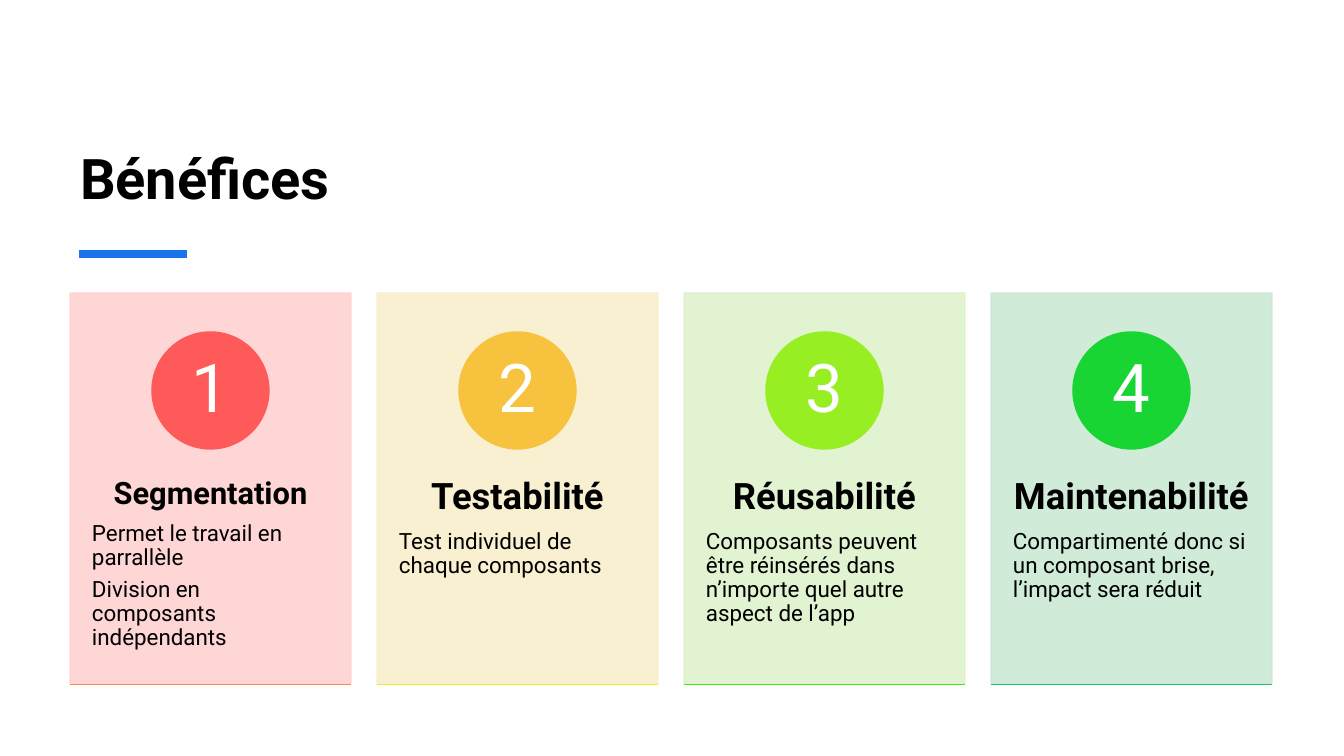
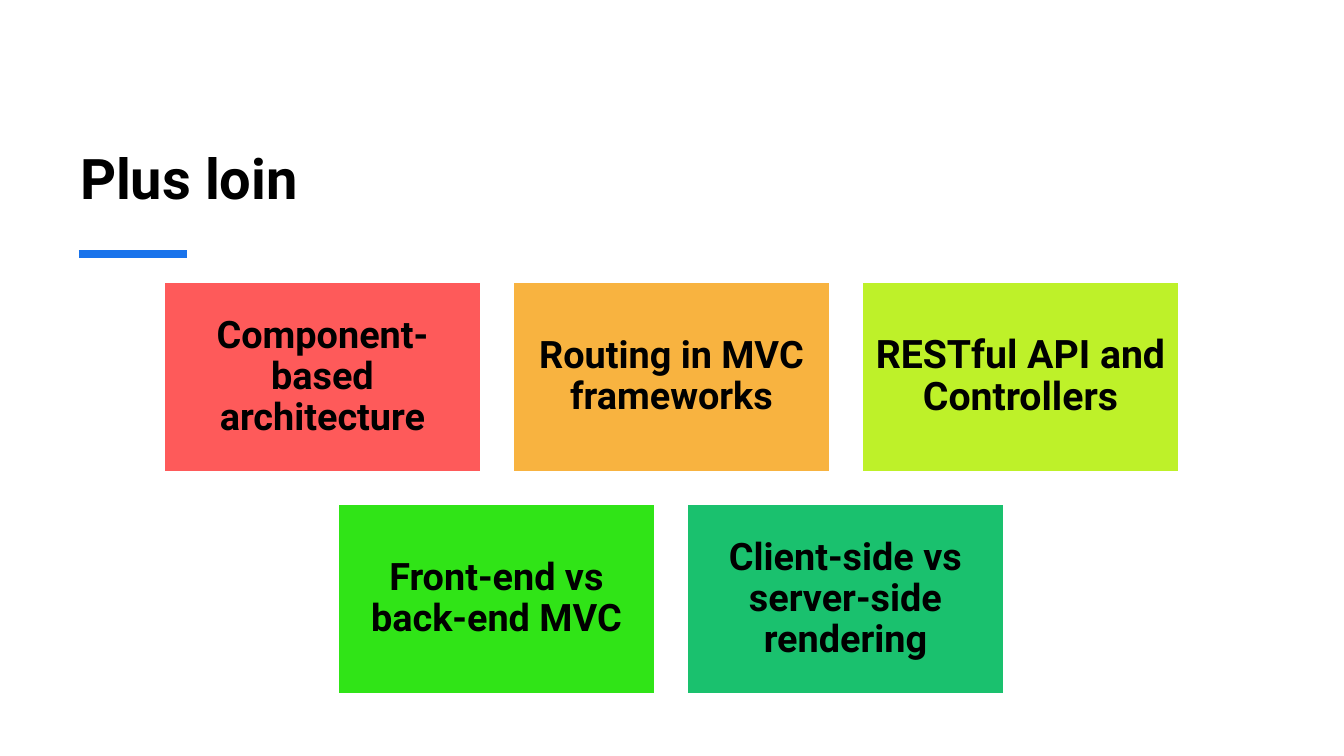
from lxml import etree
from pptx import Presentation, util as u
from pptx.dml.color import RGBColor
from pptx.enum import shapes as sh, text as tx
from pptx.oxml.ns import qn

PX = 914400 / 100.8
FONT = "Roboto"
HUES = {
    "ink": "000000", "white": "FFFFFF", "blue": "1973EB", "red": "FE5A5A",
    "rose": "FFD2D2", "coral": "FB8A4B", "gold": "F7C23D", "cream": "F9EFCE",
    "lemon": "E5F32F", "lime": "97EE22", "mint": "DEF2CC", "grass": "43E916",
    "green": "18D534", "sage": "CCE9D5", "jade": "1AC16E", "amber": "F8B340",
    "acid": "BEF129", "leaf": "30E417",
}
CARDS = [
    ("Segmentation", 22, ["Permet le travail en parrallèle",
                          "Division en composants indépendants"], "rose", "red", "coral"),
    ("Testabilité", 26, ["Test individuel de chaque composants"],
     "cream", "gold", "lemon"),
    ("Réusabilité", 26, ["Composants peuvent être réinsérés dans n’importe quel autre "
                         "aspect de l’app"], "mint", "lime", "grass"),
    ("Maintenabilité", 26, ["Compartimenté donc si un composant brise, l’impact sera réduit"],
     "sage", "green", "jade"),
]
TILES = [
    [("Component-based architecture", "red", 27),
     ("Routing in MVC frameworks", "amber", 27),
     ("RESTful API and Controllers", "acid", 28)],
    [("Front-end vs back-end MVC", "leaf", 27),
     ("Client-side vs server-side rendering", "jade", 27)],
]


def px(num):
    """Turn pixels into EMU."""
    return u.Emu(round(num * PX))


def hue(name):
    """Look up a named colour."""
    return RGBColor.from_string(HUES[name])


def write(par, words, size=16, color="ink", bold=False, align="LEFT", after=0.35):
    """Fill a paragraph with formatted text."""
    par.alignment = getattr(tx.PP_ALIGN, align)
    par.line_spacing = 0.9
    par.space_before = u.Pt(0)
    par.space_after = u.Pt(round(size * after, 1))
    run = par.add_run()
    run.text = words
    font = run.font
    font.name, font.size, font.bold = FONT, u.Pt(size), bold
    font.color.rgb = hue(color)


def fade(fill, share):
    """Set the opacity of solid fills, in percent."""
    for clr in fill.iter(qn("a:srgbClr")):
        etree.SubElement(clr, qn("a:alpha")).set("val", str(share * 1000))


def block(slide, kind, box, fill, line, pad, anchor="MIDDLE"):
    """Draw a filled shape ready for text."""
    shape = slide.shapes.add_shape(getattr(sh.MSO_SHAPE, kind), *map(px, box))
    shape.shadow.inherit = False
    shape.fill.solid()
    shape.fill.fore_color.rgb = hue(fill)
    shape.line.color.rgb = hue(line)
    shape.line.width = u.Pt(1)
    frame = shape.text_frame
    frame.word_wrap = True
    frame.vertical_anchor = getattr(tx.MSO_ANCHOR, anchor)
    side, top = pad
    frame.margin_left = frame.margin_right = px(side)
    frame.margin_top = frame.margin_bottom = px(top)
    return shape


def rule(slide, left, top, width, color, weight):
    """Draw a horizontal line."""
    line = slide.shapes.add_connector(
        sh.MSO_CONNECTOR.STRAIGHT, px(left), px(top), px(left + width), px(top))
    line.line.color.rgb = hue(color)
    line.line.width = u.Pt(weight)
    etree.SubElement(line._element.spPr, qn("a:effectLst"))


def page(deck, words):
    """Add a slide with its title and accent line."""
    slide = deck.slides.add_slide(deck.slide_layouts[5])
    title = slide.shapes.title
    title.left, title.top, title.width, title.height = map(px, (70, 63, 1200, 154))
    frame = title.text_frame
    frame.vertical_anchor = tx.MSO_ANCHOR.BOTTOM
    frame.auto_size = tx.MSO_AUTO_SIZE.NONE
    write(frame.paragraphs[0], words, size=40, bold=True, after=0)
    rule(slide, 79, 254, 108, "blue", 6)
    return slide


def card(slide, left, num, head, size, notes, pale, vivid, edge):
    """Draw a numbered benefit card."""
    top, wide, high, disc = 293, 281, 391, 117
    panel = block(slide, "RECTANGLE", (left, top, wide, high), pale, pale, (22, 185), "TOP")
    fade(panel._element.spPr, 90)
    frame = panel.text_frame
    frame.margin_bottom = px(0)
    write(frame.paragraphs[0], head, size=size, bold=True, align="CENTER")
    for note in notes:
        write(frame.add_paragraph(), note)
    badge = block(slide, "OVAL", (left + (wide - disc) // 2, top + 39, disc, disc),
                  vivid, vivid, (9, 1))
    write(badge.text_frame.paragraphs[0], str(num), size=48, color="white", align="CENTER")
    rule(slide, left, top + high, wide, edge, 0.5)


def grid(slide, rows):
    """Draw centred rows of coloured tiles."""
    wide, high, gap, mid = 317, 190, 32, 671
    for row, tiles in enumerate(rows):
        left = mid - (len(tiles) * (wide + gap) - gap) // 2
        for col, (words, fill, size) in enumerate(tiles):
            box = (left + col * (wide + gap), 282 + row * (high + gap), wide, high)
            tile = block(slide, "RECTANGLE", box, fill, "white", (11, 11))
            write(tile.text_frame.paragraphs[0], words, size=size, bold=True, align="CENTER")


def main():
    """Build and save the deck."""
    deck = Presentation()
    deck.slide_width, deck.slide_height = px(1344), px(756)
    gains = page(deck, "Bénéfices")
    for idx, data in enumerate(CARDS):
        card(gains, 70 + idx * 307, idx + 1, *data)
    grid(page(deck, "Plus loin"), TILES)
    deck.save("out.pptx")


if __name__ == "__main__":
    main()
